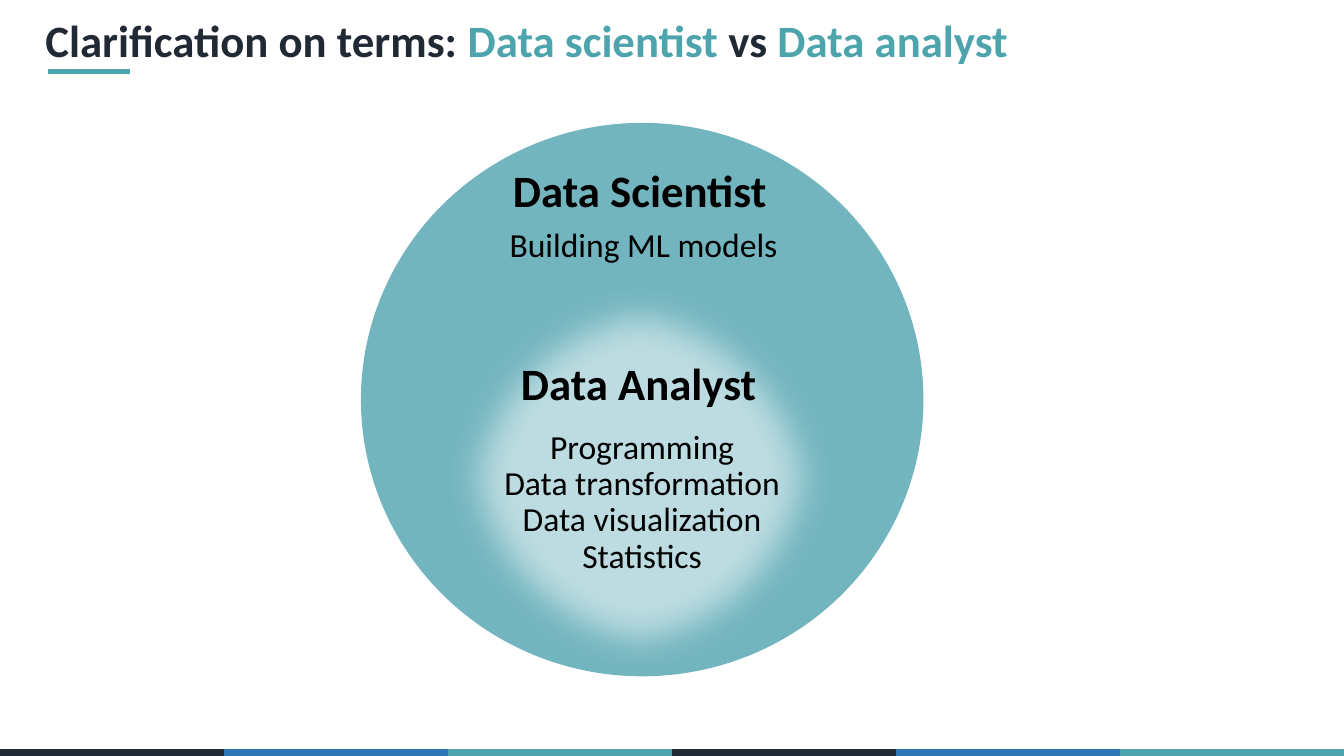
"""Build a slide that nests the data analyst's skills inside the data scientist's."""
import lxml.etree
import pptx
import pptx.dml.color
import pptx.enum.shapes
import pptx.enum.text
import pptx.oxml.ns
import pptx.util

Pt = pptx.util.Pt
Align = pptx.enum.text.PP_ALIGN
NAVY, BLUE, TEAL, BLACK = "202934", "2E75B6", "4EA4AD", "000000"
WIDTH, HEIGHT = 960, 540

TITLE = [("Clarification on terms: ", NAVY), ("Data scientist ", TEAL),
         ("vs ", NAVY), ("Data analyst", TEAL)]
TITLE_AREA = (25.2, 9.4, 787.7, 42.5)
CIRCLES = [((257.8, 87.8, 401.8, 395.3), "73B5BF", 0),
           ((314.6, 198.7, 285.1, 284.4), "BCDCE1", 25)]
HEADINGS = [("Data Analyst", (365, 254.2, 184.3, 42.5)),
            ("Data Scientist", (359.3, 116.6, 211.7, 42.5))]
SKILLS = [(["Programming", "Data transformation", "Data visualization", "Statistics"],
           (328.3, 303.1, 260.6, 112.3)),
          (["Building ML models"], (291.6, 159.8, 336.2, 33.1))]
FOOTER_COLOURS = [NAVY, BLUE, TEAL] * 2
FOOTER_Y = 537.8


def colour(value):
    return pptx.dml.color.RGBColor.from_string(value)


def add_effects(shape, soft_edge=0):
    properties = shape._element.spPr
    for old in properties.findall(pptx.oxml.ns.qn("a:effectLst")):
        properties.remove(old)
    effects = lxml.etree.SubElement(properties, pptx.oxml.ns.qn("a:effectLst"))
    if soft_edge:
        edge = lxml.etree.SubElement(effects, pptx.oxml.ns.qn("a:softEdge"))
        edge.set("rad", str(Pt(soft_edge)))


def write_text(box, lines, size=24, bold=False, align=Align.LEFT):
    frame = box.text_frame
    frame.word_wrap = True
    frame.auto_size = pptx.enum.text.MSO_AUTO_SIZE.NONE
    frame.vertical_anchor = pptx.enum.text.MSO_ANCHOR.MIDDLE
    for index, spans in enumerate(lines):
        para = frame.add_paragraph() if index else frame.paragraphs[0]
        para.alignment = align
        para.line_spacing = 0.9
        para.space_before = Pt(0)
        for text, fill in spans:
            span = para.add_run()
            span.text = text
            span.font.name = "Calibri"
            span.font.size = Pt(size)
            span.font.bold = bold
            span.font.color.rgb = colour(fill)


def add_line(page, left, right, y, fill, width):
    line = page.shapes.add_connector(
        pptx.enum.shapes.MSO_CONNECTOR.STRAIGHT, Pt(left), Pt(y), Pt(right), Pt(y))
    line.line.color.rgb = colour(fill)
    line.line.width = Pt(width)
    add_effects(line)


def main():
    deck = pptx.Presentation()
    deck.slide_width, deck.slide_height = Pt(WIDTH), Pt(HEIGHT)
    page = deck.slides.add_slide(deck.slide_layouts[5])

    step = WIDTH / len(FOOTER_COLOURS)
    for index, fill in enumerate(FOOTER_COLOURS):
        add_line(page, index * step, (index + 1) * step, FOOTER_Y, fill, 6)

    for area, fill, soft_edge in CIRCLES:
        circle = page.shapes.add_shape(
            pptx.enum.shapes.MSO_SHAPE.OVAL, *map(Pt, area))
        circle.fill.solid()
        circle.fill.fore_color.rgb = colour(fill)
        circle.line.fill.background()
        add_effects(circle, soft_edge)

    for text, area in HEADINGS:
        box = page.shapes.add_textbox(*map(Pt, area))
        write_text(box, [[(text, BLACK)]], size=32, bold=True)
    for names, area in SKILLS:
        box = page.shapes.add_textbox(*map(Pt, area))
        write_text(box, [[(name, BLACK)] for name in names], align=Align.CENTER)

    title = page.shapes.title
    title.left, title.top, title.width, title.height = map(Pt, TITLE_AREA)
    write_text(title, [TITLE], size=32, bold=True)
    add_line(page, 34.6, 92.9, 51.1, TEAL, 3)
    deck.save("out.pptx")


if __name__ == "__main__":
    main()
